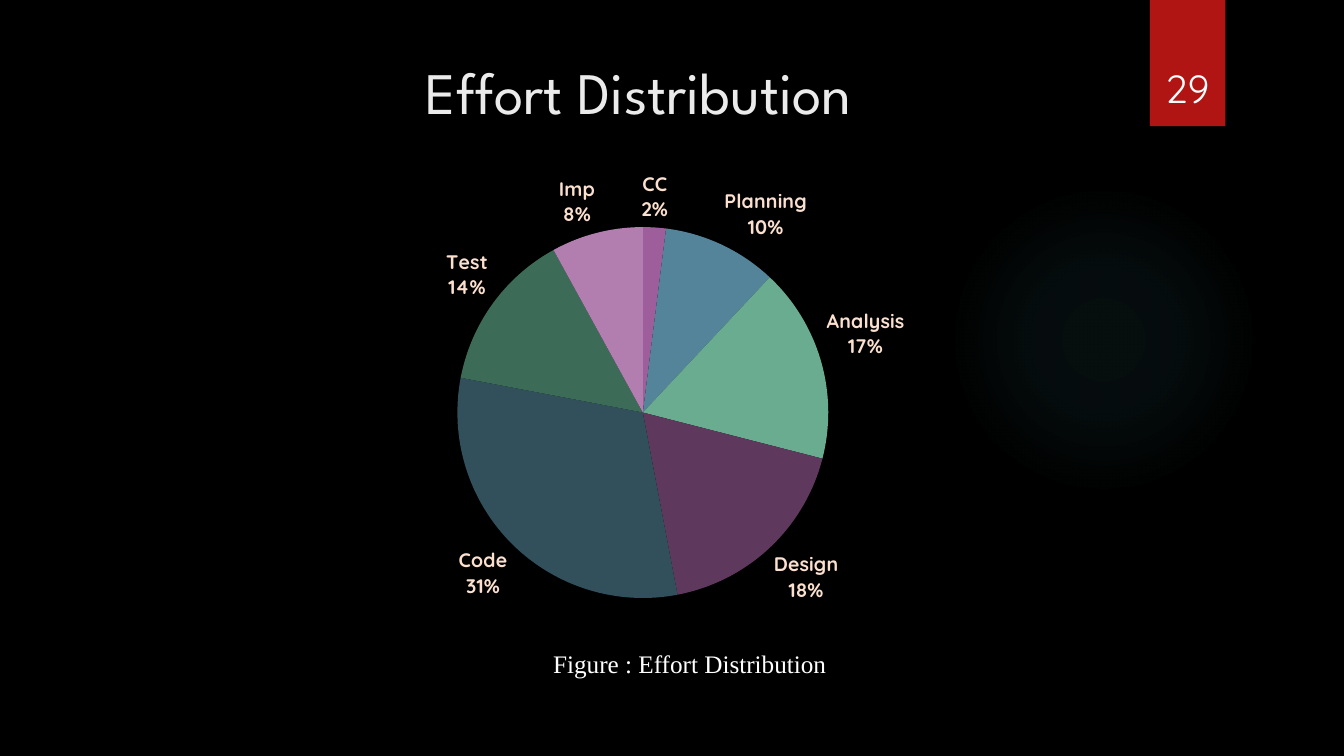
from dataclasses import dataclass

from lxml import etree
from pptx import Presentation
from pptx.chart.data import CategoryChartData
from pptx.dml.color import RGBColor
from pptx.enum.chart import XL_CHART_TYPE, XL_LABEL_POSITION
from pptx.enum.shapes import MSO_SHAPE
from pptx.enum.text import MSO_ANCHOR, PP_ALIGN
from pptx.oxml import parse_xml
from pptx.oxml.ns import nsdecls, qn
from pptx.util import Cm, Pt

PIE = XL_CHART_TYPE.PIE
OUTSIDE_END = XL_LABEL_POSITION.OUTSIDE_END
RECTANGLE, OVAL = MSO_SHAPE.RECTANGLE, MSO_SHAPE.OVAL
TOP, BOTTOM = MSO_ANCHOR.TOP, MSO_ANCHOR.BOTTOM
LEFT, CENTER = PP_ALIGN.LEFT, PP_ALIGN.CENTER

EFFORT = {
    "CC": (2, "9E5E9B"),
    "Planning": (10, "54849A"),
    "Analysis": (17, "6AAC90"),
    "Design": (18, "5F385D"),
    "Code": (31, "324F5C"),
    "Test": (14, "3C6B57"),
    "Imp": (8, "B27EB0"),
}
PIE_AREA = {"x": 0.32, "y": 0.14, "w": 0.32, "h": 0.78}
GLOW_STOPS = ((0, 7), (36, 6), (69, 0))


@dataclass(frozen=True)
class Theme:
    """Colours, fonts and type sizes of the slide."""

    background: str = "000000"
    glow: str = "50B9C1"
    accent: str = "B01513"
    title: str = "EBEBEB"
    text: str = "FFFFFF"
    label: str = "FBE0CF"
    title_font: str = "League Spartan"
    label_font: str = "Quicksand"
    caption_font: str = "Times New Roman"
    title_size: int = 42
    number_size: int = 28
    caption_size: int = 18
    label_size: int = 14


class SlideBuilder:
    """Draws styled elements on one slide."""

    def __init__(self, slide, theme):
        self.slide = slide
        self.theme = theme
        fill = slide.background.fill
        fill.solid()
        fill.fore_color.rgb = RGBColor.from_string(theme.background)

    def shape(self, kind, box, color):
        """Add a plain filled shape without outline."""
        sp = self.slide.shapes.add_shape(kind, *map(Cm, box))
        sp.shadow.inherit = False
        sp.fill.solid()
        sp.fill.fore_color.rgb = RGBColor.from_string(color)
        sp.line.fill.background()
        return sp

    def glow(self, box):
        """Add a circle that fades out from its centre."""
        sp = self.shape(OVAL, box, self.theme.glow)
        stops = "".join(
            f'<a:gs pos="{pos * 1000}"><a:srgbClr val="{self.theme.glow}">'
            f'<a:alpha val="{alpha * 1000}"/></a:srgbClr></a:gs>'
            for pos, alpha in GLOW_STOPS
        )
        gradient = parse_xml(
            f'<a:gradFill {nsdecls("a")}><a:gsLst>{stops}</a:gsLst>'
            '<a:path path="circle"><a:fillToRect l="50000" t="50000" '
            'r="50000" b="50000"/></a:path></a:gradFill>'
        )
        solid = sp._element.spPr.find(qn("a:solidFill"))
        solid.getparent().replace(solid, gradient)

    def text(self, box, text, font, size, color, align=LEFT, anchor=TOP):
        """Add a one-paragraph text box."""
        tf = self.slide.shapes.add_textbox(*map(Cm, box)).text_frame
        tf.word_wrap = True
        tf.vertical_anchor = anchor
        p = tf.paragraphs[0]
        p.text = text
        p.alignment = align
        self.style(p.font, font, size, color)

    def style(self, target, name, size, color):
        """Set the name, size and colour of a font."""
        target.name = name
        target.size = Pt(size)
        target.color.rgb = RGBColor.from_string(color)

    def pie(self, box, slices):
        """Add a pie chart with labels outside its slices."""
        data = CategoryChartData()
        data.categories = list(slices)
        data.add_series("Series 1", [value for value, _ in slices.values()])
        chart = self.slide.shapes.add_chart(PIE, *map(Cm, box), data).chart
        chart.has_title = False
        chart.has_legend = False
        plot = chart.plots[0]
        plot.vary_by_categories = True
        for i, (_, color) in enumerate(slices.values()):
            fill = plot.series[0].points[i].format.fill
            fill.solid()
            fill.fore_color.rgb = RGBColor.from_string(color)
        plot.has_data_labels = True
        labels = plot.data_labels
        labels.show_value = False
        labels.show_category_name = True
        labels.show_percentage = True
        labels.position = OUTSIDE_END
        self.style(labels.font, self.theme.label_font, self.theme.label_size, self.theme.label)
        labels.font.bold = True
        self.place_plot(chart, PIE_AREA)

    def place_plot(self, chart, area):
        """Fix the inner plot area as fractions of the chart."""
        plot_area = chart._chartSpace.chart.plotArea
        for old in plot_area.findall(qn("c:layout")):
            plot_area.remove(old)
        layout = etree.Element(qn("c:layout"))
        manual = etree.SubElement(layout, qn("c:manualLayout"))
        settings = {"layoutTarget": "inner", "xMode": "edge", "yMode": "edge", **area}
        for tag, value in settings.items():
            etree.SubElement(manual, qn(f"c:{tag}"), val=str(value))
        plot_area.insert(0, layout)


def main():
    """Build and save the presentation."""
    prs = Presentation()
    prs.slide_width, prs.slide_height = Cm(33.87), Cm(19.05)
    theme = Theme()
    s = SlideBuilder(prs.slides.add_slide(prs.slide_layouts[6]), theme)
    s.glow((23.9, 4.65, 7.82, 7.82))
    s.shape(RECTANGLE, (28.98, 0, 1.9, 3.18), theme.accent)
    s.text((3.03, 1.27, 26.14, 3.89), "Effort Distribution", theme.title_font,
           theme.title_size, theme.title, CENTER)
    s.pie((2.18, 3.99, 29.21, 12.09), EFFORT)
    s.text((28.75, 0.81, 2.34, 2.13), "29", theme.label_font,
           theme.number_size, theme.text, CENTER, BOTTOM)
    s.text((13.69, 16.21, 8.92, 1.02), "Figure : Effort Distribution",
           theme.caption_font, theme.caption_size, theme.text)
    prs.save("out.pptx")


if __name__ == "__main__":
    main()
